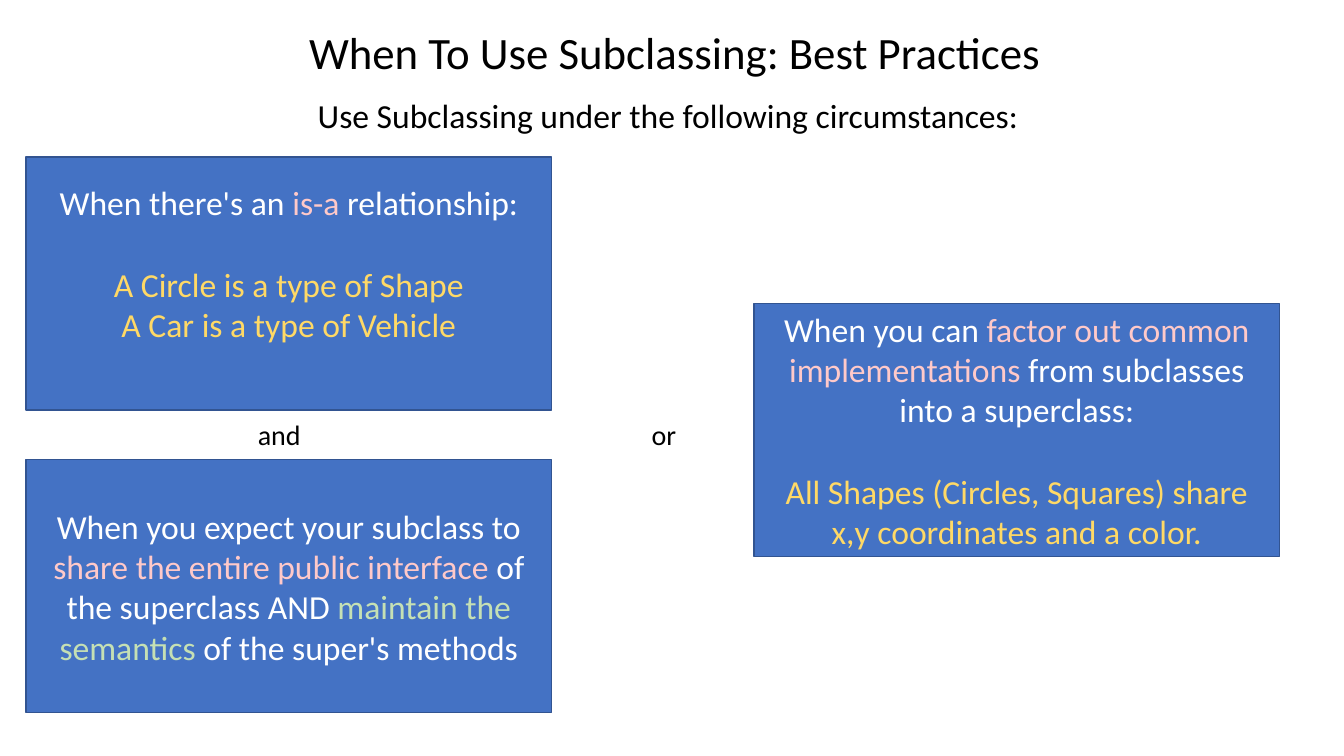
from dataclasses import dataclass

from pptx import Presentation
from pptx.dml.color import RGBColor
from pptx.enum.shapes import MSO_SHAPE
from pptx.enum.text import MSO_ANCHOR, MSO_AUTO_SIZE, PP_ALIGN
from pptx.slide import Slide
from pptx.text.text import TextFrame, _Paragraph
from pptx.util import Inches, Pt

BLACK = RGBColor(0x00, 0x00, 0x00)
WHITE = RGBColor(0xFF, 0xFF, 0xFF)
BLUE = RGBColor(0x44, 0x72, 0xC4)
NAVY = RGBColor(0x32, 0x54, 0x91)
PINK = RGBColor(0xFF, 0xC9, 0xC9)
GOLD = RGBColor(0xFF, 0xD9, 0x66)
GREEN = RGBColor(0xC5, 0xE0, 0xB4)

FONT = "Calibri"
WIDE, HIGH = Inches(13.33), Inches(7.5)
LINE = Pt(29.3)  # height of one 24 pt line

# Shares of the slide, in percent
CARD_W, CARD_H = 39.08, 33.47
LEFT, RIGHT = 1.95, 56.11
LABEL_TOP, LABEL_H = 54.53, 5.87

Piece = tuple[str, RGBColor]


@dataclass
class Card:
    left: float
    top: float
    rule: list[Piece]
    cases: list[str]
    foot: int = 0  # extra room below the text


@dataclass
class Label:
    text: str
    left: float
    top: float
    width: float
    height: float
    size: int
    wrap: bool = False


CARDS = [
    Card(LEFT, 20.8,
         [("When there's an ", WHITE), ("is-a", PINK), (" relationship:", WHITE)],
         ["A Circle is a type of Shape", "A Car is a type of Vehicle"], LINE),
    Card(LEFT, 60.8,
         [("When you expect your subclass to ", WHITE),
          ("share the entire public interface ", PINK),
          ("of the superclass AND ", WHITE),
          ("maintain the semantics ", GREEN),
          ("of the super's methods", WHITE)], []),
    Card(RIGHT, 40.13,
         [("When you can ", WHITE),
          ("factor out common implementations ", PINK),
          ("from subclasses into a superclass:", WHITE)],
         ["All Shapes (Circles, Squares) share x,y coordinates and a color."]),
]

LABELS = [
    Label("Use Subclassing under the following circumstances:",
          15.08, 11.87, 69.24, 6.67, 24, True),
    Label("and", 18.38, LABEL_TOP, 4.8, LABEL_H, 20),
    Label("or", 47.71, LABEL_TOP, 3.38, LABEL_H, 20),
]


def place(left: float, top: float, width: float, height: float) -> list[int]:
    """Turn percent shares into slide lengths."""
    return [int(WIDE * left / 100), int(HIGH * top / 100),
            int(WIDE * width / 100), int(HIGH * height / 100)]


def write(para: _Paragraph, pieces: list[Piece], size: int) -> None:
    para.alignment = PP_ALIGN.CENTER
    for text, color in pieces:
        run = para.add_run()
        run.text = text
        run.font.name = FONT
        run.font.size = Pt(size)
        run.font.color.rgb = color


def fill_card(frame: TextFrame, card: Card) -> None:
    frame.word_wrap = True
    frame.vertical_anchor = MSO_ANCHOR.MIDDLE
    frame.margin_bottom = Inches(0.05) + card.foot
    write(frame.paragraphs[0], card.rule, 24)
    for row, case in enumerate(card.cases):
        para = frame.add_paragraph()
        if row == 0:
            para.space_before = LINE
        write(para, [(case, GOLD)], 24)


def add_card(slide: Slide, card: Card) -> None:
    box = slide.shapes.add_shape(
        MSO_SHAPE.RECTANGLE, *place(card.left, card.top, CARD_W, CARD_H))
    box.shadow.inherit = False
    box.fill.solid()
    box.fill.fore_color.rgb = BLUE
    box.line.color.rgb = NAVY
    box.line.width = Pt(1)
    fill_card(box.text_frame, card)


def add_label(slide: Slide, label: Label) -> None:
    box = slide.shapes.add_textbox(
        *place(label.left, label.top, label.width, label.height))
    frame = box.text_frame
    frame.word_wrap = label.wrap
    frame.auto_size = MSO_AUTO_SIZE.SHAPE_TO_FIT_TEXT
    write(frame.paragraphs[0], [(label.text, BLACK)], label.size)


def add_title(slide: Slide, text: str) -> None:
    title = slide.shapes.title
    title.left, title.top, title.width, title.height = place(
        0.45, -1.07, 99.55, 16.67)
    frame = title.text_frame
    frame.auto_size = MSO_AUTO_SIZE.NONE
    frame.vertical_anchor = MSO_ANCHOR.MIDDLE
    para = frame.paragraphs[0]
    para.line_spacing = 0.9
    write(para, [(text, BLACK)], 32)


def main() -> None:
    deck = Presentation()
    deck.slide_width, deck.slide_height = WIDE, HIGH
    slide = deck.slides.add_slide(deck.slide_layouts[5])

    # Heading
    add_title(slide, "When To Use Subclassing: Best Practices")

    # Circumstances and the words that join them
    for card in CARDS:
        add_card(slide, card)
    for label in LABELS:
        add_label(slide, label)

    deck.save("out.pptx")


if __name__ == "__main__":
    main()
